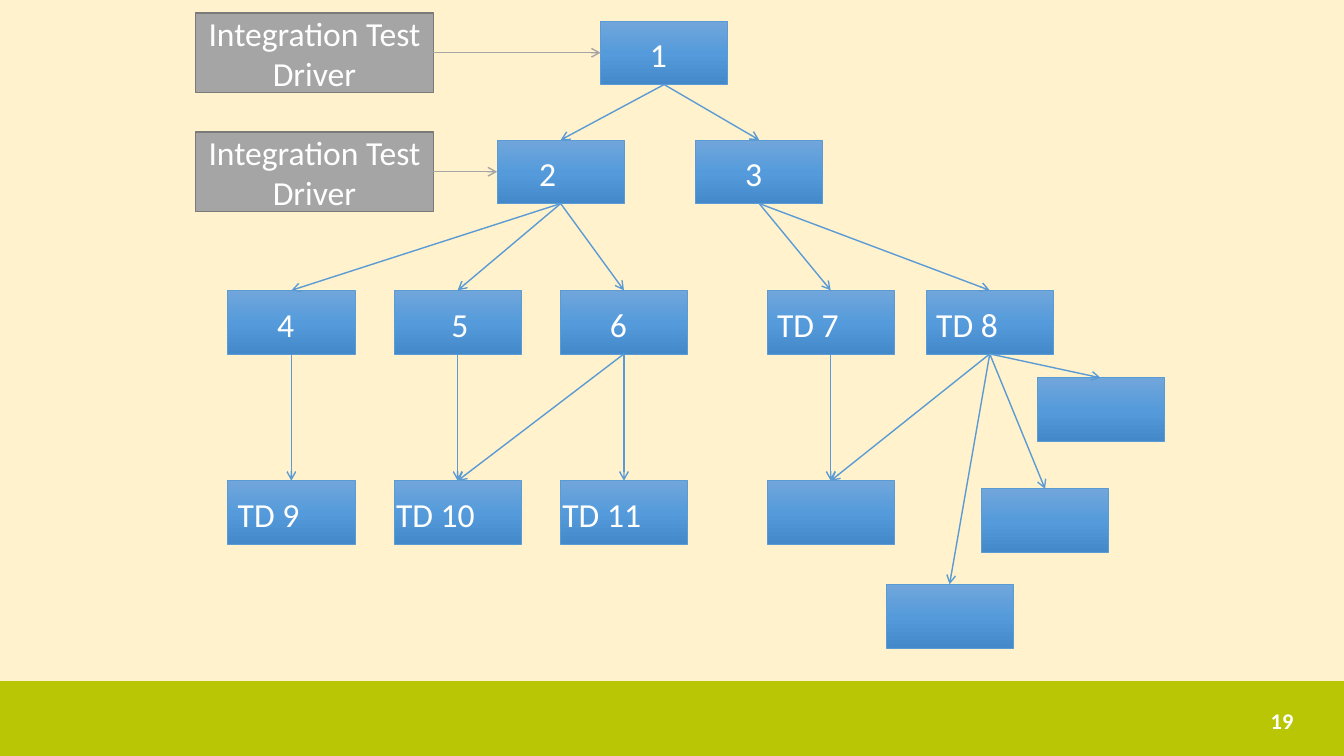
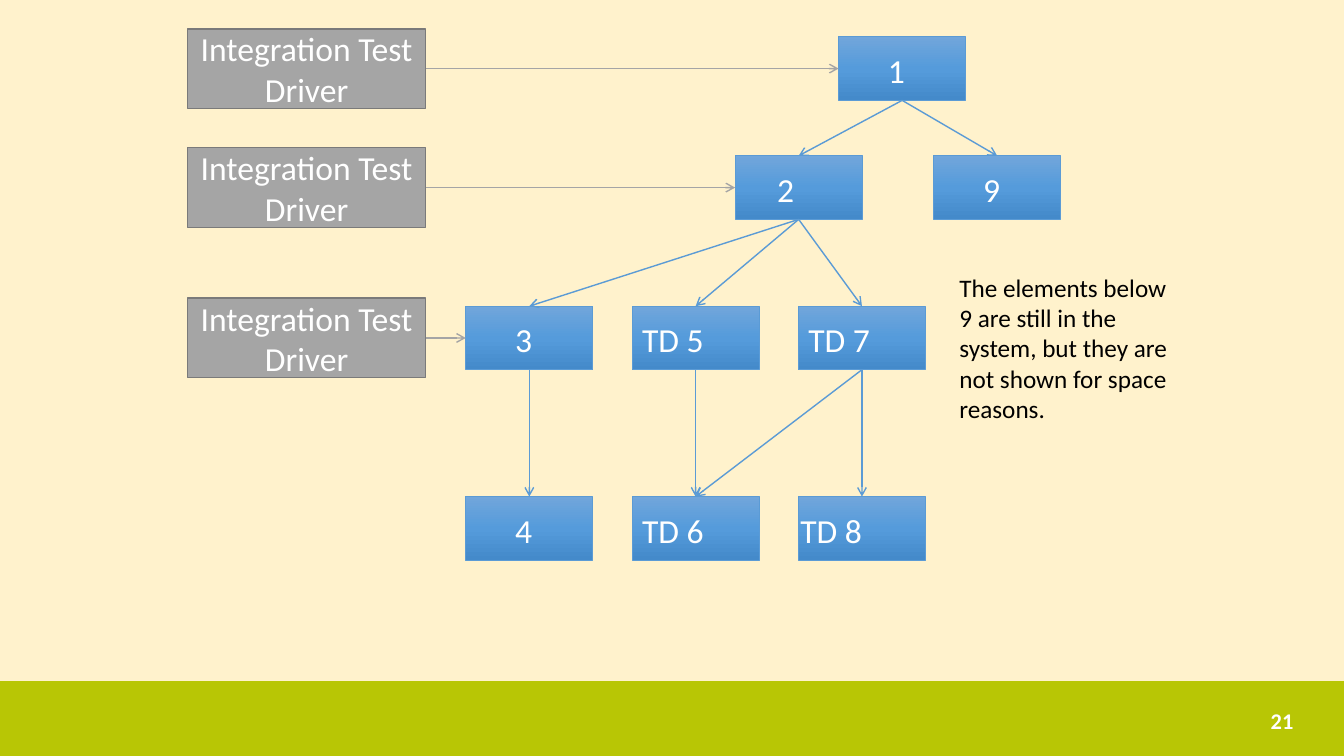
from copy import deepcopy

from pptx import Presentation
from pptx.dml.color import RGBColor
from pptx.enum.shapes import MSO_CONNECTOR, MSO_SHAPE
from pptx.enum.text import MSO_ANCHOR, PP_ALIGN
from pptx.oxml.ns import qn
from pptx.util import Pt
from lxml.etree import SubElement

CREAM = RGBColor(0xFF, 0xF2, 0xCC)
LIME = RGBColor(0xB8, 0xC6, 0x05)
WHITE = RGBColor(0xFF, 0xFF, 0xFF)
BLACK = RGBColor(0, 0, 0)
BLUE = RGBColor(0x5B, 0x9B, 0xD5)
GRAY = RGBColor(0xA5, 0xA5, 0xA5)
DARK_GRAY = RGBColor(0x7A, 0x7A, 0x7A)
UNIT_SHADES = [
    (0, RGBColor(0x71, 0xA6, 0xDB)),
    (0.5, RGBColor(0x55, 0x9B, 0xDB)),
    (1, RGBColor(0x44, 0x8A, 0xCA)),
]

FONT = "Calibri"
SLIDE_W, SLIDE_H = 960, 540
BAND_TOP = 486.6
UNIT_W, UNIT_H = 90.8, 45.4
DRIVER_W, DRIVER_H = 170, 56.8
LABEL_TOP = 9.4
DIGIT_INSET, TD_INSET, TIGHT_INSET = 35.3, 7.2, 1.4

ROWS = [15, 100, 207.4, 343.4]
LEAF_X, LEAF_STEP = 162.7, 118.8
LEAVES = [LEAF_X + LEAF_STEP * column for column in range(3)]

PLACES = {
    "root": (429, ROWS[0]),
    "left": (355.1, ROWS[1]),
    "right": (496.9, ROWS[1]),
    "right a": (548, ROWS[2]),
    "right b": (661.6, ROWS[2]),
    "under a": (548, ROWS[3]),
    "stub 1": (740.8, 269.9),
    "stub 2": (701.1, 349.2),
    "stub 3": (632.9, 417.4),
}
for column, leaf_x in enumerate(LEAVES, start=1):
    PLACES[f"mid {column}"] = (leaf_x, ROWS[2])
    PLACES[f"low {column}"] = (leaf_x, ROWS[3])

LEFT_LINKS = [
    ("root", "right"), ("root", "left"),
    ("left", "mid 2"), ("left", "mid 1"), ("left", "mid 3"),
    ("mid 3", "low 3"), ("mid 2", "low 2"), ("mid 1", "low 1"),
    ("mid 3", "low 2"),
]
RIGHT_LINKS = [
    ("right", "right a"), ("right", "right b"),
    ("right b", "stub 1"), ("right b", "stub 2"), ("right b", "stub 3"),
    ("right b", "under a"), ("right a", "under a"),
]

DRIVER_TEXT = "Integration Test Driver"
SLIDES = [
    {
        "number": "19",
        "shift": (0, 0),
        "units": {
            "root": ("1", DIGIT_INSET),
            "left": ("2", 30),
            "right": ("3", DIGIT_INSET),
            "mid 1": ("4", DIGIT_INSET),
            "mid 2": ("5", 41),
            "mid 3": ("6", DIGIT_INSET),
            "right a": ("TD 7", TD_INSET),
            "right b": ("TD 8", TD_INSET),
            "low 1": ("TD 9", TD_INSET),
            "low 2": ("TD 10", TIGHT_INSET),
            "low 3": ("TD 11", TIGHT_INSET),
            "under a": ("", 0),
            "stub 1": ("", 0),
            "stub 2": ("", 0),
            "stub 3": ("", 0),
        },
        "links": LEFT_LINKS + RIGHT_LINKS,
        "driver_x": 139.6,
        "driven": ["root", "left"],
        "remark": "",
    },
    {
        "number": "21",
        "shift": (170, 11.3),
        "units": {
            "root": ("1", DIGIT_INSET),
            "left": ("2", 30),
            "right": ("9", DIGIT_INSET),
            "mid 1": ("3", DIGIT_INSET),
            "mid 2": ("TD 5", TD_INSET),
            "mid 3": ("TD 7", TD_INSET),
            "low 1": ("4", DIGIT_INSET),
            "low 2": ("TD 6", TD_INSET),
            "low 3": ("TD 8", TIGHT_INSET),
        },
        "links": LEFT_LINKS,
        "driver_x": 134,
        "driven": ["root", "left", "mid 1"],
        "remark": "The elements below 9 are still in the system, "
                  "but they are not shown for space reasons.",
    },
]


def write(shape, text, *, size=24, color=WHITE, bold=False, align=PP_ALIGN.LEFT,
          anchor=MSO_ANCHOR.TOP, wrap=True, left=7.2, top=3.6):
    frame = shape.text_frame
    frame.word_wrap = wrap
    frame.vertical_anchor = anchor
    frame.margin_left, frame.margin_top = Pt(left), Pt(top)
    paragraph = frame.paragraphs[0]
    paragraph.alignment = align
    run = paragraph.add_run()
    run.text = text
    font = run.font
    font.name, font.size, font.bold = FONT, Pt(size), bold
    font.color.rgb = color


def add_text(slide, text, box, **style):
    write(slide.shapes.add_textbox(*map(Pt, box)), text, **style)


def add_box(slide, x, y, width, height, line_color=None, line_width=1):
    box = slide.shapes.add_shape(MSO_SHAPE.RECTANGLE, Pt(x), Pt(y), Pt(width), Pt(height))
    box.shadow.inherit = False
    if line_color is None:
        box.line.fill.background()
    else:
        box.line.color.rgb = line_color
        box.line.width = Pt(line_width)
    return box


def fill_solid(box, color):
    box.fill.solid()
    box.fill.fore_color.rgb = color


def fill_shades(box, shades):
    box.fill.gradient()
    box.fill.gradient_angle = 270
    stop_list = box._element.spPr.find(".//" + qn("a:gsLst"))
    stop_list.insert(1, deepcopy(stop_list[0]))
    for stop, (position, color) in zip(box.fill.gradient_stops, shades):
        stop.position = position
        stop.color.rgb = color


def add_unit(slide, x, y, label, inset):
    unit = add_box(slide, x, y, UNIT_W, UNIT_H, BLUE, 0.5)
    fill_shades(unit, UNIT_SHADES)
    if label:
        write(unit, label, wrap=False, left=inset, top=LABEL_TOP)
    return unit


def add_driver(slide, x, target):
    y = target.top.pt + (UNIT_H - DRIVER_H) / 2
    driver = add_box(slide, x, y, DRIVER_W, DRIVER_H, DARK_GRAY)
    fill_solid(driver, GRAY)
    write(driver, DRIVER_TEXT, align=PP_ALIGN.CENTER, anchor=MSO_ANCHOR.MIDDLE)
    add_arrow(slide, driver, 3, target, 1, GRAY)


def add_arrow(slide, source, source_side, target, target_side, color):
    arrow = slide.shapes.add_connector(MSO_CONNECTOR.STRAIGHT, 0, 0, 0, 0)
    arrow.begin_connect(source, source_side)
    arrow.end_connect(target, target_side)
    arrow.line.color.rgb = color
    arrow.line.width = Pt(1)
    SubElement(arrow.line._get_or_add_ln(), qn("a:tailEnd"), type="arrow")
    SubElement(arrow._element.spPr, qn("a:effectLst"))


def style_master(prs, slide):
    master = prs.slide_master
    master.background.fill.solid()
    master.background.fill.fore_color.rgb = CREAM
    band = add_box(slide, 0, BAND_TOP, SLIDE_W, SLIDE_H - BAND_TOP)
    fill_solid(band, LIME)
    master.shapes._spTree.insert(2, band._element)


def build_slide(slide, content):
    add_text(slide, content["number"], (678.2, 500.4, 252.7, 28.8), size=16, bold=True,
             align=PP_ALIGN.RIGHT, anchor=MSO_ANCHOR.MIDDLE)
    shift_x, shift_y = content["shift"]
    units = {}
    for place, (label, inset) in content["units"].items():
        x, y = PLACES[place]
        units[place] = add_unit(slide, x + shift_x, y + shift_y, label, inset)
    for parent, child in content["links"]:
        add_arrow(slide, units[parent], 2, units[child], 0, BLUE)
    for place in content["driven"]:
        add_driver(slide, content["driver_x"], units[place])
    if content["remark"]:
        add_text(slide, content["remark"], (678.2, 190.8, 164.2, 116.6), size=18, color=BLACK)


def main():
    prs = Presentation()
    prs.slide_width, prs.slide_height = Pt(SLIDE_W), Pt(SLIDE_H)
    blank_layout = prs.slide_layouts[6]
    slides = [prs.slides.add_slide(blank_layout) for _ in SLIDES]
    style_master(prs, slides[0])
    for slide, content in zip(slides, SLIDES):
        build_slide(slide, content)
    prs.save("out.pptx")


if __name__ == "__main__":
    main()
